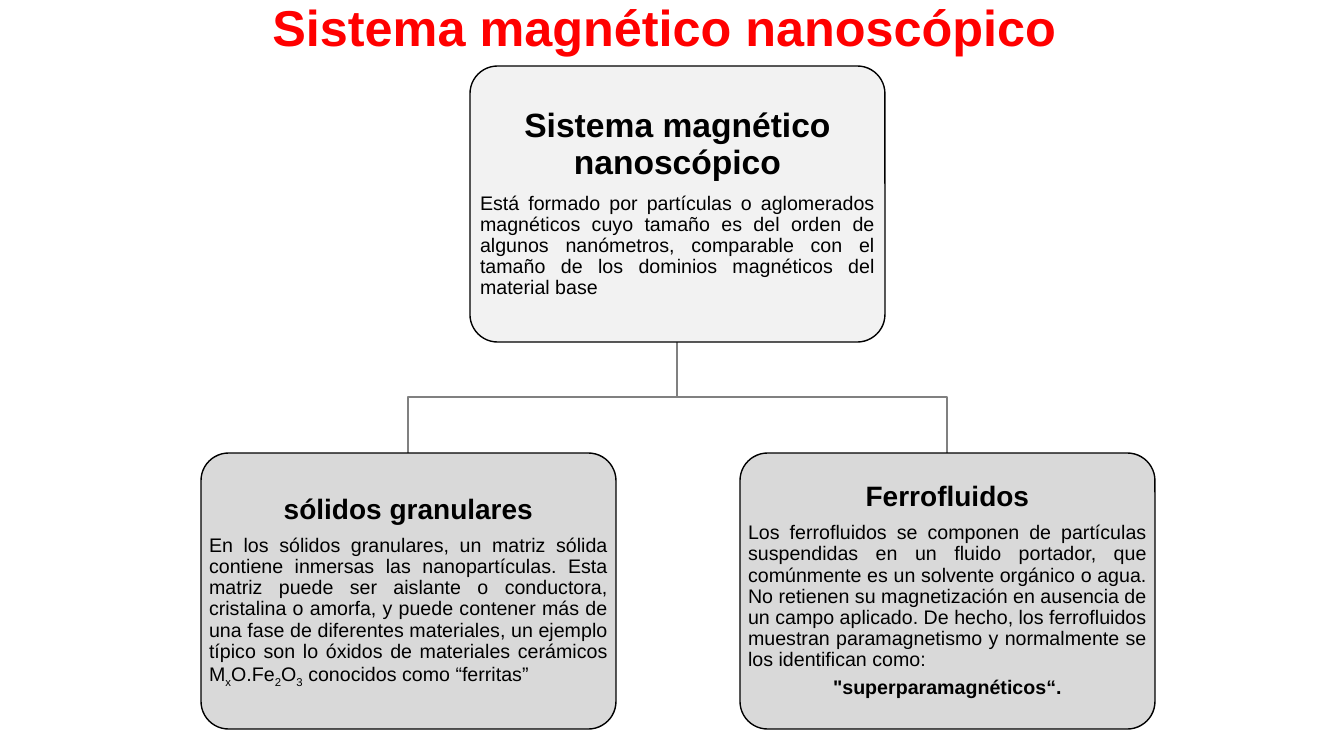
from pptx import Presentation
from pptx import util as u
from pptx.dml.color import RGBColor
from pptx.enum import shapes, text

PX = u.Inches(1) / 100.8
FONT = "Arial"
RED = RGBColor(0xFF, 0x00, 0x00)
BLACK = RGBColor(0x00, 0x00, 0x00)
GREY = RGBColor(0x80, 0x80, 0x80)
PALE = RGBColor(0xF2, 0xF2, 0xF2)
SILVER = RGBColor(0xD9, 0xD9, 0xD9)

CENTER, JUSTIFY = text.PP_ALIGN.CENTER, text.PP_ALIGN.JUSTIFY
NODE_W, NODE_H = 415, 276
CORNER = 0.1
SPACE_AFTER = 0.35  # share of the text size

ROOT_BODY = (
    "Está formado por partículas o aglomerados magnéticos cuyo tamaño es del "
    "orden de algunos nanómetros, comparable con el tamaño de los dominios "
    "magnéticos del material base"
)
SOLIDS_BODY = (
    "En los sólidos granulares, un matriz sólida contiene inmersas las "
    "nanopartículas. Esta matriz puede ser aislante o conductora, cristalina o "
    "amorfa, y puede contener más de una fase de diferentes materiales, un "
    "ejemplo típico son lo óxidos de materiales cerámicos M",
    "x", "O.Fe", "2", "O", "3", " conocidos como “ferritas”",
)
FLUIDS_BODY = (
    "Los ferrofluidos se componen de partículas suspendidas en un fluido "
    "portador, que comúnmente es un solvente orgánico o agua. No retienen su "
    "magnetización en ausencia de un campo aplicado. De hecho, los ferrofluidos "
    "muestran paramagnetismo y normalmente se los identifican como:"
)


def px(length):
    return u.Emu(round(length * PX))


def prepare_frame(shape, inset):
    frame = shape.text_frame
    frame.word_wrap = True
    frame.vertical_anchor = text.MSO_ANCHOR.MIDDLE
    frame.margin_left = frame.margin_right = px(inset)
    frame.margin_top = frame.margin_bottom = px(inset)
    return frame


def write(frame, content, size=14, bold=False, color=BLACK, align=CENTER, after=SPACE_AFTER):
    """Add a paragraph; in a tuple every second part is a subscript."""
    paragraph = frame.paragraphs[0]
    if paragraph.runs:
        paragraph = frame.add_paragraph()
    paragraph.alignment = align
    paragraph.line_spacing = 0.9
    paragraph.space_after = u.Pt(round(size * after, 1))
    parts = (content,) if isinstance(content, str) else content
    for index, part in enumerate(parts):
        run = paragraph.add_run()
        run.text = part
        run.font.name, run.font.size = FONT, u.Pt(size)
        run.font.bold = bold
        run.font.color.rgb = color
        if index % 2:
            run._r.get_or_add_rPr().set("baseline", "-25000")


def add_title(slide, left, top, width, height):
    box = slide.shapes.add_textbox(px(left), px(top), px(width), px(height))
    write(prepare_frame(box, 0), "Sistema magnético nanoscópico",
          size=36, bold=True, color=RED, after=0)


def add_branch(slide, parent, child):
    """Draw a bent line from the bottom of one node to the top of another."""
    start_x, start_y = parent[0] + NODE_W // 2, parent[1] + NODE_H
    end_x, end_y = child[0] + NODE_W // 2, child[1]
    bend_y = (start_y + end_y) // 2
    builder = slide.shapes.build_freeform(start_x, start_y, scale=PX)
    builder.add_line_segments(
        [(start_x, bend_y), (end_x, bend_y), (end_x, end_y)], close=False)
    branch = builder.convert_to_shape()
    branch.shadow.inherit = False
    branch.fill.background()
    branch.line.color.rgb = GREY
    branch.line.width = u.Pt(1)


def add_node(slide, corner, heading, body, fill=SILVER, heading_size=20, inset=0, closing=None):
    left, top = corner
    node = slide.shapes.add_shape(
        shapes.MSO_SHAPE.ROUNDED_RECTANGLE, px(left), px(top), px(NODE_W), px(NODE_H))
    node.adjustments[0] = CORNER
    node.shadow.inherit = False
    node.fill.solid()
    node.fill.fore_color.rgb = fill
    node.line.color.rgb = BLACK
    node.line.width = u.Pt(1)
    frame = prepare_frame(node, inset)
    write(frame, heading, size=heading_size, bold=True)
    write(frame, body, align=JUSTIFY)
    if closing:
        write(frame, closing, bold=True)


def add_tree(slide, left, top, width, height):
    """Place the root centred at the top and its two children at the bottom corners."""
    root = (left + (width - NODE_W) // 2, top)
    children_top = top + height - NODE_H
    solids = (left, children_top)
    fluids = (left + width - NODE_W, children_top)
    for child in (solids, fluids):
        add_branch(slide, root, child)
    add_node(slide, root, "Sistema magnético nanoscópico", ROOT_BODY,
             fill=PALE, heading_size=24, inset=2)
    add_node(slide, solids, "sólidos granulares", SOLIDS_BODY)
    add_node(slide, fluids, "Ferrofluidos", FLUIDS_BODY, closing='"superparamagnéticos“.')


def main():
    deck = Presentation()
    deck.slide_width, deck.slide_height = px(1344), px(756)
    slide = deck.slides.add_slide(deck.slide_layouts[6])
    add_title(slide, 85, 5, 1159, 51)
    add_tree(slide, 201, 66, 954, 663)
    deck.save("out.pptx")


if __name__ == "__main__":
    main()
